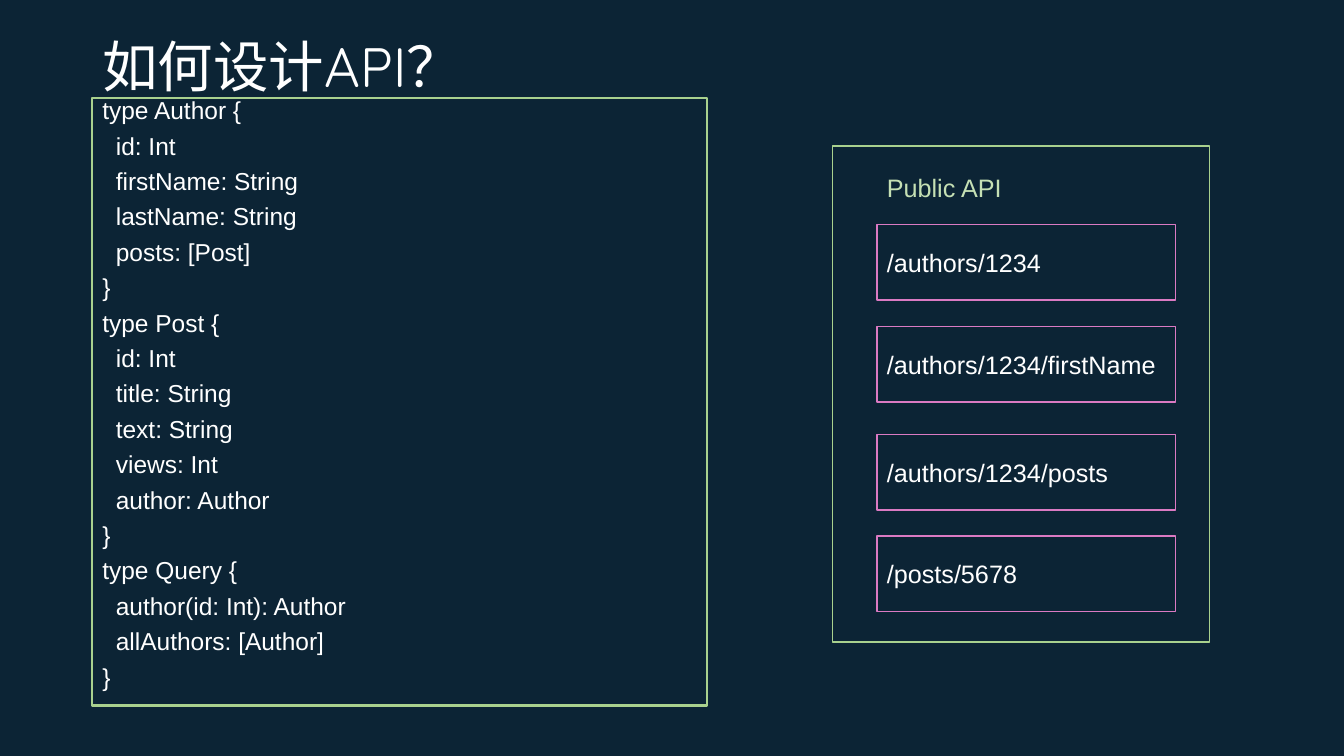
from dataclasses import dataclass

from pptx import Presentation
from pptx.dml.color import RGBColor
from pptx.enum.shapes import MSO_AUTO_SHAPE_TYPE as ShapeType
from pptx.enum.text import MSO_VERTICAL_ANCHOR as Anchor, PP_PARAGRAPH_ALIGNMENT as Align
from pptx.shapes.autoshape import Shape
from pptx.slide import Slide
from pptx.util import Cm, Pt

NAVY = RGBColor(0x0C, 0x24, 0x35)
WHITE = RGBColor(0xFF, 0xFF, 0xFF)
GREEN = RGBColor(0xA9, 0xD1, 0x8E)
PALE_GREEN = RGBColor(0xC5, 0xE0, 0xB4)
PINK = RGBColor(0xDB, 0x7A, 0xC3)

INDENT = "  "
SCHEMA = """type Author {
  id: Int
  firstName: String
  lastName: String
  posts: [Post]
}
type Post {
  id: Int
  title: String
  text: String
  views: Int
  author: Author
}
type Query {
  author(id: Int): Author
  allAuthors: [Author]
}"""


@dataclass(frozen=True)
class Box:
    left: float
    top: float
    width: float
    height: float


@dataclass(frozen=True)
class TextStyle:
    size: float
    color: RGBColor = WHITE
    font: str = "Arial"
    line_spacing: float = 1.0
    space_before: float = 0


@dataclass(frozen=True)
class Endpoint:
    route: str
    top: float


TITLE_STYLE = TextStyle(39.6, font="Quicksand", line_spacing=0.9)
SCHEMA_STYLE = TextStyle(17.5, line_spacing=0.7, space_before=10.6)
ROUTE_STYLE = TextStyle(18)
HEADING_STYLE = TextStyle(18, PALE_GREEN)

ROUTE_LEFT, ROUTE_WIDTH, ROUTE_HEIGHT = 22.1, 7.52, 1.9
ENDPOINTS = [
    Endpoint("/authors/1234", 5.66),
    Endpoint("/authors/1234/firstName", 8.23),
    Endpoint("/authors/1234/posts", 10.95),
    Endpoint("/posts/5678", 13.51),
]


def write_text(shape: Shape, text: str, style: TextStyle, anchor: Anchor) -> None:
    frame = shape.text_frame
    frame.word_wrap = True
    frame.vertical_anchor = anchor
    lines = text.split("\n")
    frame.text = "\n".join(line.strip() for line in lines)
    for line, paragraph in zip(lines, frame.paragraphs):
        paragraph.alignment = Align.LEFT
        paragraph.line_spacing = style.line_spacing
        paragraph.space_before = Pt(style.space_before)
        if line.startswith(INDENT):
            properties = paragraph._p.get_or_add_pPr()
            properties.set("marL", str(Cm(0.34)))
            properties.set("indent", "0")
        for run in paragraph.runs:
            run.font.name = style.font
            run.font.size = Pt(style.size)
            run.font.color.rgb = style.color


def add_text(slide: Slide, box: Box, text: str, style: TextStyle,
             anchor: Anchor = Anchor.TOP) -> None:
    shape = slide.shapes.add_textbox(
        Cm(box.left), Cm(box.top), Cm(box.width), Cm(box.height))
    write_text(shape, text, style, anchor)


def add_outline(slide: Slide, box: Box, color: RGBColor, weight: float) -> Shape:
    shape = slide.shapes.add_shape(
        ShapeType.RECTANGLE,
        Cm(box.left), Cm(box.top), Cm(box.width), Cm(box.height))
    shape.shadow.inherit = False
    shape.fill.background()
    shape.line.color.rgb = color
    shape.line.width = Pt(weight)
    return shape


def main() -> None:
    presentation = Presentation()
    presentation.slide_width = Cm(33.87)
    presentation.slide_height = Cm(19.05)
    slide = presentation.slides.add_slide(presentation.slide_layouts[6])
    slide.background.fill.solid()
    slide.background.fill.fore_color.rgb = NAVY

    add_text(slide, Box(2.33, 1.02, 29.21, 1.47), "如何设计API？", TITLE_STYLE, Anchor.MIDDLE)

    schema_panel = add_outline(slide, Box(2.33, 2.48, 15.5, 15.3), GREEN, 1.5)
    write_text(schema_panel, SCHEMA, SCHEMA_STYLE, Anchor.TOP)

    add_outline(slide, Box(20.98, 3.68, 9.5, 12.5), GREEN, 1)
    add_text(slide, Box(ROUTE_LEFT, 4.22, ROUTE_WIDTH, 1.02), "Public API", HEADING_STYLE)
    for endpoint in ENDPOINTS:
        box = Box(ROUTE_LEFT, endpoint.top, ROUTE_WIDTH, ROUTE_HEIGHT)
        route = add_outline(slide, box, PINK, 1)
        write_text(route, endpoint.route, ROUTE_STYLE, Anchor.MIDDLE)

    presentation.save("out.pptx")


if __name__ == "__main__":
    main()
